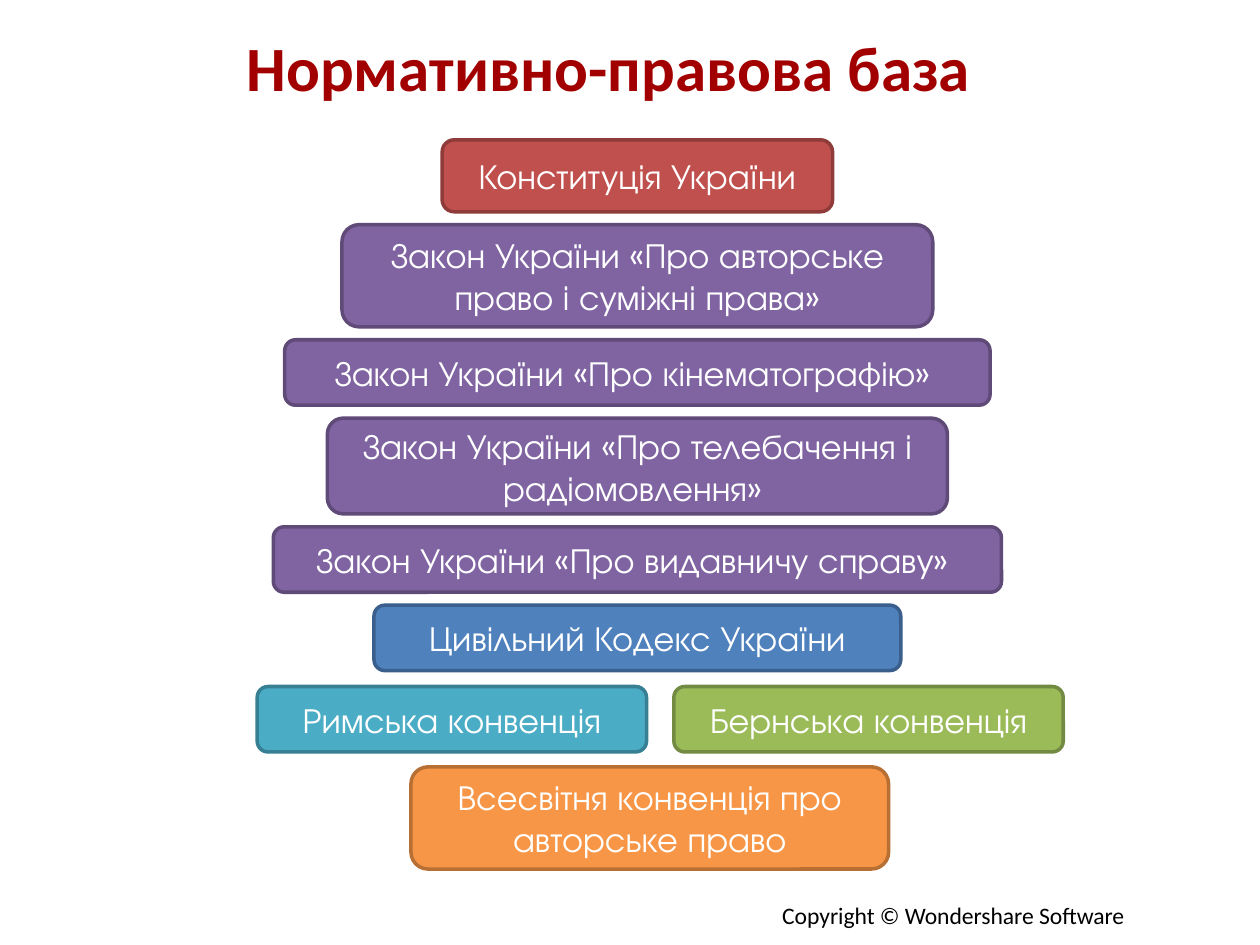
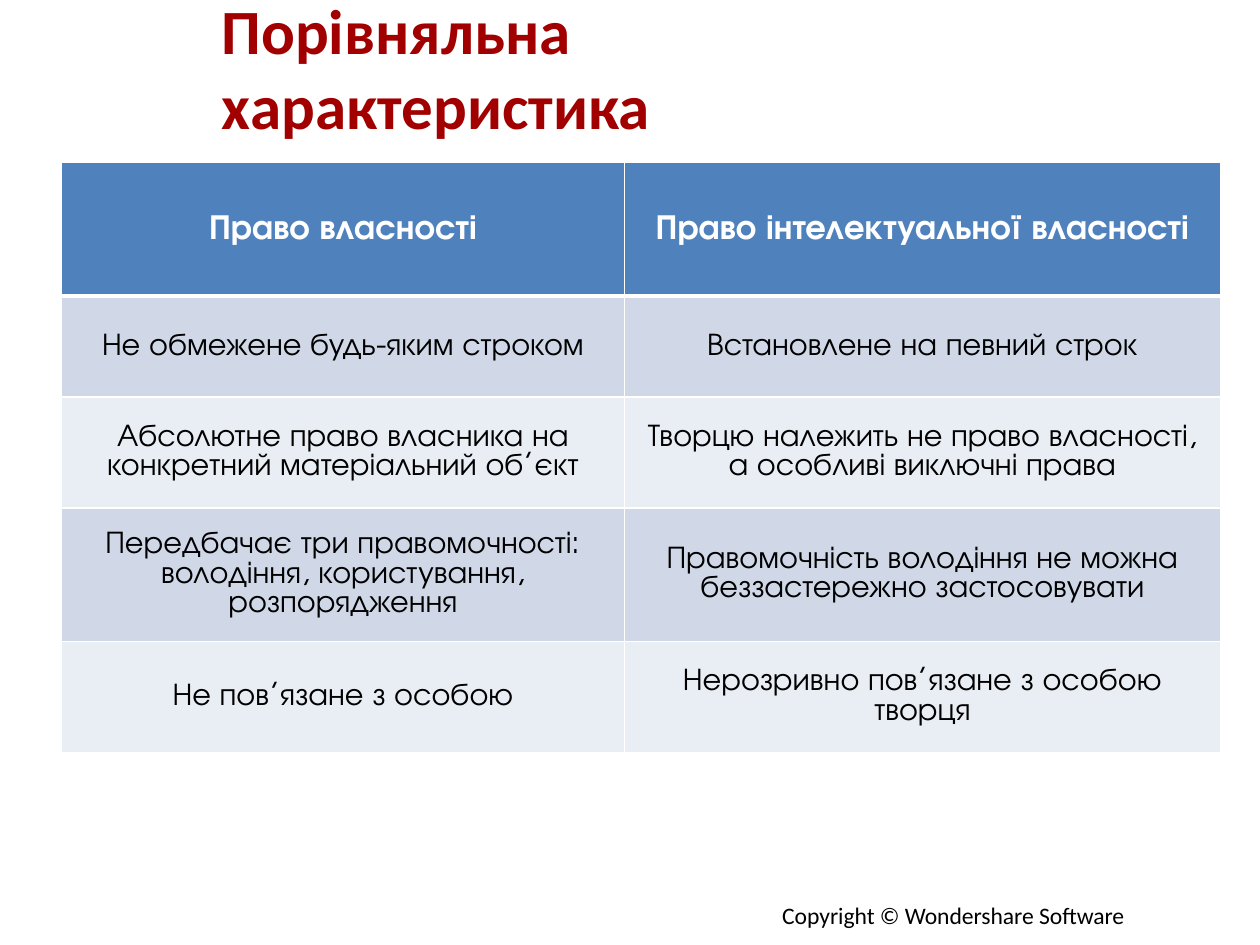
from lxml import etree
from pptx import Presentation
from pptx.dml.color import RGBColor as RGB
from pptx.enum.shapes import MSO_SHAPE as Shape
from pptx.enum.text import MSO_ANCHOR as Anchor, PP_ALIGN as Align
from pptx.oxml.ns import qn
from pptx.util import Cm, Pt

HEAD, BODY = "Calibri", "TeX Gyre Adventor"
WHITE, BLACK = RGB(0xFF, 0xFF, 0xFF), RGB(0, 0, 0)
WINE = RGB(0xA2, 0x00, 0x00)
BLUE = RGB(0x4F, 0x81, 0xBD)
BANDS = RGB(0xD0, 0xD8, 0xE8), RGB(0xE9, 0xED, 0xF4)

# Fill and outline of each kind of legal act
RED = RGB(0xC0, 0x50, 0x4D), RGB(0x8E, 0x3B, 0x39)
VIOLET = RGB(0x80, 0x64, 0xA2), RGB(0x5F, 0x4A, 0x78)
NAVY = BLUE, RGB(0x3A, 0x5F, 0x8C)
TEAL = RGB(0x4B, 0xAC, 0xC6), RGB(0x37, 0x7F, 0x92)
GREEN = RGB(0x9B, 0xBB, 0x59), RGB(0x73, 0x8A, 0x42)
ORANGE = RGB(0xF7, 0x96, 0x46), RGB(0xB7, 0x6F, 0x34)

FOOTER = "Copyright © Wondershare Software"

# Rows of acts: gap above, centre, height (cm), then (text, width, colours)
ACTS = [
    (0, 12.85, 1.45, [("Конституція України", 7.87, RED)]),
    (0.26, 12.85, 2.06, [("Закон України «Про авторське право і суміжні права»", 11.91, VIOLET)]),
    (0.26, 12.85, 1.32, [("Закон України «Про кінематографію» ", 14.22, VIOLET)]),
    (0.26, 12.85, 1.93, [("Закон України «Про телебачення і радіомовлення» ", 12.5, VIOLET)]),
    (0.26, 12.85, 1.32, [("Закон України «Про видавничу справу» ", 14.68, VIOLET)]),
    (0.26, 12.85, 1.32, [("Цивільний Кодекс України", 10.62, NAVY)]),
    (0.32, 13.31, 1.32, [("Римська конвенція", 7.85, TEAL),
                         ("Бернська конвенція", 7.85, GREEN)]),
    (0.3, 13.1, 2.06, [("Всесвітня конвенція про авторське право", 9.63, ORANGE)]),
]
ACT_TOP, ACT_GAP = 2.82, 0.55

RIGHTS = [
    ("Право власності", "Право інтелектуальної власності"),
    ("Не обмежене будь-яким строком", "Встановлене на певний строк"),
    ("Абсолютне право власника на конкретний матеріальний об’єкт",
     "Творцю належить не право власності, а особливі виключні права"),
    ("Передбачає три правомочності: володіння, користування, розпорядження",
     "Правомочність володіння не можна беззастережно застосовувати"),
    ("Не пов’язане з особою", "Нерозривно пов’язане з особою творця"),
]
COLS = [11.35, 12.01]
ROWS = [2.69, 2.03, 2.24, 2.69, 2.24]


def write(frame, text, size, color, align=Align.CENTER, font=BODY, bold=False):
    frame.text = text
    frame.word_wrap = True
    para = frame.paragraphs[0]
    para.alignment = align
    face = para.runs[0].font
    face.name, face.size, face.bold = font, Pt(size), bold
    face.color.rgb = color


def add_slide(deck, title, left, width):
    """Add a slide with the shared title and footer."""
    slide = deck.slides.add_slide(deck.slide_layouts[6])
    foot = slide.shapes.add_textbox(Cm(15.52), Cm(18.03), Cm(7.6), Cm(0.84))
    write(foot.text_frame, FOOTER, 13.5, BLACK, Align.LEFT, HEAD)
    box = slide.shapes.add_textbox(Cm(left), Cm(0.48), Cm(width), Cm(1.73))
    write(box.text_frame, title, 36, WINE, Align.JUSTIFY, HEAD, True)
    box.text_frame.vertical_anchor = Anchor.MIDDLE
    return slide


def add_act(slide, text, colors, left, top, width, height):
    box = slide.shapes.add_shape(Shape.ROUNDED_RECTANGLE,
                                 Cm(left), Cm(top), Cm(width), Cm(height))
    box.shadow.inherit = False
    box.fill.solid()
    box.fill.fore_color.rgb, box.line.color.rgb = colors
    box.line.width = Pt(2)
    write(box.text_frame, text, 20, WHITE)
    box.text_frame.vertical_anchor = Anchor.MIDDLE


def add_acts(slide):
    top = ACT_TOP
    for gap, mid, height, acts in ACTS:
        top += gap
        span = sum(width for _, width, _ in acts) + ACT_GAP * (len(acts) - 1)
        left = mid - span / 2
        for text, width, colors in acts:
            add_act(slide, text, colors, left, top, width, height)
            left += width + ACT_GAP
        top += height


def set_edges(cell, row):
    """Draw white cell borders, thick between the header and the body."""
    props = cell._tc.get_or_add_tcPr()
    thick = {(0, "B"), (1, "T")}
    for spot, side in enumerate("LRTB"):
        width = Pt(3 if (row, side) in thick else 1)
        line = etree.Element(qn(f"a:ln{side}"), w=str(width))
        fill = etree.SubElement(line, qn("a:solidFill"))
        etree.SubElement(fill, qn("a:srgbClr"), val=str(WHITE))
        props.insert(spot, line)


def add_rights(slide):
    table = slide.shapes.add_table(len(ROWS), len(COLS), Cm(1.24), Cm(3.28),
                                   Cm(sum(COLS)), Cm(sum(ROWS))).table
    for col, width in zip(table.columns, COLS):
        col.width = Cm(width)
    for r, texts in enumerate(RIGHTS):
        table.rows[r].height = Cm(ROWS[r])
        head = r == 0
        for c, text in enumerate(texts):
            cell = table.cell(r, c)
            write(cell.text_frame, text, 20 if head else 18,
                  WHITE if head else BLACK, bold=head)
            cell.vertical_anchor = Anchor.MIDDLE
            cell.fill.solid()
            cell.fill.fore_color.rgb = BLUE if head else BANDS[(r - 1) % 2]
            set_edges(cell, r)


def main():
    deck = Presentation()
    deck.slide_width, deck.slide_height = Cm(25.4), Cm(19.05)
    add_acts(add_slide(deck, "Нормативно-правова база", 4.72, 15.95))
    add_rights(add_slide(deck, "Порівняльна характеристика", 4.22, 16.46))
    deck.save("out.pptx")


if __name__ == "__main__":
    main()
